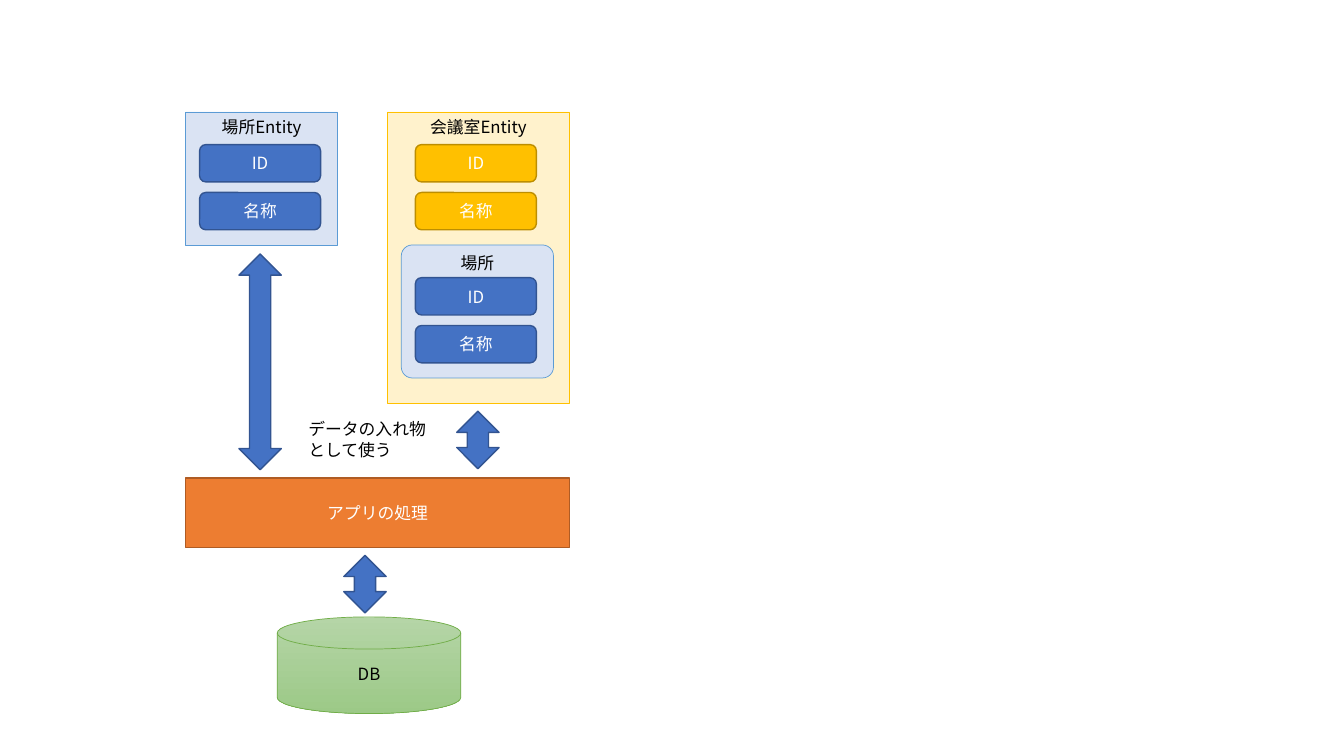
from dataclasses import dataclass

from lxml import etree
from pptx import Presentation
from pptx.dml.color import RGBColor
from pptx.enum.shapes import MSO_SHAPE
from pptx.enum.text import MSO_ANCHOR, PP_ALIGN
from pptx.oxml.ns import qn
from pptx.shapes.autoshape import Shape
from pptx.shapes.shapetree import SlideShapes
from pptx.util import Inches, Pt

RECTANGLE = MSO_SHAPE.RECTANGLE
ROUNDED = MSO_SHAPE.ROUNDED_RECTANGLE
DOUBLE_ARROW = MSO_SHAPE.UP_DOWN_ARROW
DISK = MSO_SHAPE.FLOWCHART_MAGNETIC_DISK
TOP, MIDDLE = MSO_ANCHOR.TOP, MSO_ANCHOR.MIDDLE
LEFT, CENTER = PP_ALIGN.LEFT, PP_ALIGN.CENTER

BLACK = RGBColor(0x00, 0x00, 0x00)
WHITE = RGBColor(0xFF, 0xFF, 0xFF)
BLUE = RGBColor(0x44, 0x72, 0xC4)
DARK_BLUE = RGBColor(0x32, 0x54, 0x91)
PALE_BLUE = RGBColor(0xDA, 0xE3, 0xF3)
SKY_BLUE = RGBColor(0x5B, 0x9B, 0xD5)
GOLD = RGBColor(0xFF, 0xC0, 0x00)
DARK_GOLD = RGBColor(0xBD, 0x8E, 0x00)
PALE_GOLD = RGBColor(0xFF, 0xF2, 0xCC)
ORANGE = RGBColor(0xED, 0x7D, 0x31)
DARK_ORANGE = RGBColor(0xAF, 0x5C, 0x24)
GREEN = RGBColor(0x70, 0xAD, 0x47)
DISK_TOP = RGBColor(0xB5, 0xD5, 0xA7)
DISK_BOTTOM = RGBColor(0x9C, 0xC9, 0x87)

FONT = "Noto Sans CJK JP"
FIELD_NAMES = ("ID", "名称")
FIELD_WIDTH, FIELD_HEIGHT, FIELD_PITCH = 1.2, 0.37, 0.475
FIELD_INSET, FIELD_DROP = 0.14, 0.325


@dataclass(frozen=True)
class Area:
    left: float
    top: float
    width: float
    height: float


@dataclass(frozen=True)
class Style:
    fill: RGBColor
    line: RGBColor
    line_width: float = 1
    text: RGBColor = WHITE
    anchor: MSO_ANCHOR = MIDDLE


@dataclass(frozen=True)
class Entity:
    title: str
    area: Area
    style: Style
    field_style: Style
    field_left: float
    kind: MSO_SHAPE = RECTANGLE


BLUE_STYLE = Style(BLUE, DARK_BLUE)
GOLD_STYLE = Style(GOLD, DARK_GOLD)
APP_STYLE = Style(ORANGE, DARK_ORANGE)
DB_STYLE = Style(DISK_TOP, GREEN, 0.5, BLACK)
PLACE_STYLE = Style(PALE_BLUE, SKY_BLUE, 0.5, BLACK, TOP)
ROOM_STYLE = Style(PALE_GOLD, GOLD, 0.5, BLACK, TOP)

ENTITIES = (
    Entity("場所Entity", Area(1.84, 1.11, 1.51, 1.32), PLACE_STYLE, BLUE_STYLE, 1.98),
    Entity("会議室Entity", Area(3.84, 1.11, 1.81, 2.89), ROOM_STYLE, GOLD_STYLE, 4.12),
    Entity("場所", Area(3.98, 2.43, 1.51, 1.32), PLACE_STYLE, BLUE_STYLE, 4.12, ROUNDED),
)
ARROWS = (
    Area(4.53, 4.08, 0.42, 0.57),
    Area(2.37, 2.52, 0.42, 2.14),
    Area(3.41, 5.51, 0.42, 0.57),
)


def inches(area: Area) -> tuple[int, int, int, int]:
    return Inches(area.left), Inches(area.top), Inches(area.width), Inches(area.height)


def write_text(shape: Shape, text: str, color: RGBColor, align: PP_ALIGN) -> None:
    """Write one paragraph, using the font for Latin and Japanese letters alike."""
    shape.text_frame.word_wrap = True
    para = shape.text_frame.paragraphs[0]
    para.text = text
    para.alignment = align
    para.font.size = Pt(12)
    para.font.color.rgb = color
    para.font.name = FONT
    defaults = para._p.pPr.find(qn("a:defRPr"))
    etree.SubElement(defaults, qn("a:ea"), typeface=FONT)


def add_box(shapes: SlideShapes, kind: MSO_SHAPE, area: Area, style: Style,
            text: str = "") -> Shape:
    box = shapes.add_shape(kind, *inches(area))
    box.shadow.inherit = False
    box.fill.solid()
    box.fill.fore_color.rgb = style.fill
    box.line.color.rgb = style.line
    box.line.width = Pt(style.line_width)
    if text:
        box.text_frame.vertical_anchor = style.anchor
        write_text(box, text, style.text, CENTER)
    return box


def add_entity(shapes: SlideShapes, entity: Entity) -> None:
    frame = add_box(shapes, entity.kind, entity.area, entity.style, entity.title)
    if entity.kind == ROUNDED:
        frame.adjustments[0] = 0.083
    for index, name in enumerate(FIELD_NAMES):
        top = entity.area.top + FIELD_DROP + index * FIELD_PITCH
        area = Area(entity.field_left, top, FIELD_WIDTH, FIELD_HEIGHT)
        add_box(shapes, ROUNDED, area, entity.field_style, name)


def add_database(shapes: SlideShapes) -> None:
    disk = add_box(shapes, DISK, Area(2.75, 6.12, 1.82, 0.96), DB_STYLE, "DB")
    disk.fill.gradient()
    disk.fill.gradient_angle = 270
    for stop, color in zip(disk.fill.gradient_stops, (DISK_TOP, DISK_BOTTOM)):
        stop.color.rgb = color


def main() -> None:
    deck = Presentation()
    deck.slide_width, deck.slide_height = Inches(13.33), Inches(7.5)
    shapes = deck.slides.add_slide(deck.slide_layouts[6]).shapes

    for entity in ENTITIES:
        add_entity(shapes, entity)
    add_box(shapes, RECTANGLE, Area(1.84, 4.74, 3.81, 0.69), APP_STYLE, "アプリの処理")
    for area in ARROWS:
        add_box(shapes, DOUBLE_ARROW, area, BLUE_STYLE)
    note = shapes.add_textbox(*inches(Area(2.96, 4.11, 1.41, 0.5)))
    write_text(note, "データの入れ物として使う", BLACK, LEFT)
    add_database(shapes)

    deck.save("out.pptx")


if __name__ == "__main__":
    main()
